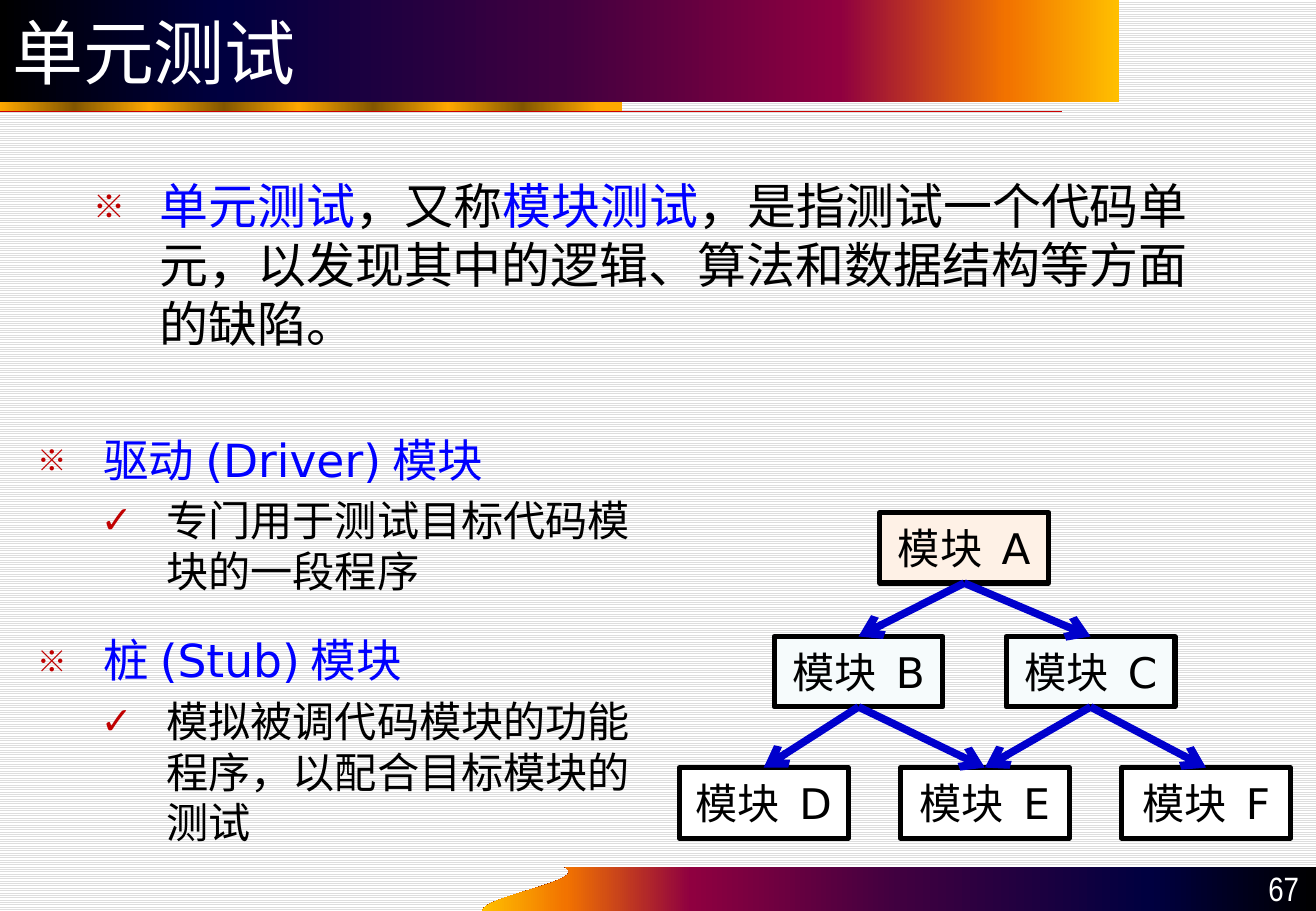
"""Build the unit testing slide with its module call diagram."""
from dataclasses import dataclass

import lxml.etree
import pptx
import pptx.dml.color
import pptx.enum.dml
import pptx.enum.shapes
import pptx.enum.text
import pptx.oxml.ns
import pptx.util

RGBColor = pptx.dml.color.RGBColor
Anchor = pptx.enum.text.MSO_ANCHOR
Align = pptx.enum.text.PP_ALIGN
qn = pptx.oxml.ns.qn

EMU_PER_PX = 9144
SLIDE_WIDTH, SLIDE_HEIGHT = 1083, 750
BOX_WIDTH, BOX_HEIGHT = 139, 58
HANGING = 54
LATIN_FONT, CHINESE_FONT, NUMBER_FONT = "DejaVu Sans", "Noto Sans CJK SC", "Arial Narrow"

BLACK = RGBColor(0x00, 0x00, 0x00)
WHITE = RGBColor(0xFF, 0xFF, 0xFF)
STRIPE_GREY = RGBColor(0xDD, 0xDD, 0xDD)
TERM_BLUE = RGBColor(0x00, 0x00, 0xFF)
ARROW_BLUE = RGBColor(0x00, 0x00, 0xCC)
BULLET_RED = RGBColor(0xC0, 0x00, 0x00)
RULE_RED = RGBColor(0xCC, 0x00, 0x00)
ROOT_CREAM = RGBColor(0xFE, 0xF1, 0xE6)
MIDDLE_MINT = RGBColor(0xF6, 0xFB, 0xFC)
GOLD = RGBColor(0xFF, 0xA8, 0x00)
BROWN = RGBColor(0x82, 0x56, 0x00)

SUNSET = [
    (0, BLACK),
    (20, RGBColor(0x00, 0x00, 0x40)),
    (50, RGBColor(0x40, 0x00, 0x40)),
    (75, RGBColor(0x8F, 0x00, 0x40)),
    (90, RGBColor(0xF2, 0x73, 0x00)),
    (100, RGBColor(0xFF, 0xBF, 0x00)),
]
GOLD_WAVES = [(12 * i, BROWN if i % 2 else GOLD) for i in range(9)]


@dataclass(frozen=True)
class Words:
    text: str
    color: RGBColor = BLACK
    font: str = LATIN_FONT


@dataclass(frozen=True)
class Item:
    words: tuple[Words, ...]
    size: int
    line_height: int
    level: int = 0
    before: int = 0


@dataclass(frozen=True)
class Module:
    letter: str
    left: int
    top: int
    color: RGBColor


DEFINITION = [
    Item((
        Words("单元测试", TERM_BLUE),
        Words("，又称"),
        Words("模块测试", TERM_BLUE),
        Words("，是指测试一个代码单元，以发现其中的逻辑、算法和数据结构等方面的缺陷。"),
    ), 29, 35),
]
HELPERS = [
    Item((Words("驱动(Driver)模块", TERM_BLUE),), 27, 32),
    Item((Words("专门用于测试目标代码模块的一段程序"),), 25, 30, 1, 5),
    Item((Words("桩(Stub)模块", TERM_BLUE),), 27, 32, 0, 22),
    Item((Words("模拟被调代码模块的功能程序，以配合目标模块的测试"),), 25, 30, 1, 5),
]
MODULES = [
    Module("A", 724, 422, ROOT_CREAM),
    Module("B", 637, 524, MIDDLE_MINT),
    Module("C", 828, 524, MIDDLE_MINT),
    *(Module(letter, 559 + 182 * i, 632, WHITE) for i, letter in enumerate("DEF")),
]
CALLS = ["AB", "AC", "CE", "CF", "BD", "BE"]


def px(length: float) -> int:
    """Turn px into EMU."""
    return round(length * EMU_PER_PX)


def place(shape, left: int, top: int, width: int, height: int) -> None:
    """Move and resize a shape."""
    shape.left, shape.top, shape.width, shape.height = map(px, (left, top, width, height))


def fill_gradient(shape, stops: list[tuple[int, RGBColor]], angle: int = 0) -> None:
    """Fill a shape with a linear gradient of any number of stops."""
    shape.fill.gradient()
    shape.fill.gradient_angle = angle
    stop_list = shape.element.spPr.find(".//" + qn("a:gsLst"))
    for old_stop in list(stop_list):
        stop_list.remove(old_stop)
    for position, color in stops:
        stop = lxml.etree.SubElement(stop_list, qn("a:gs"), pos=str(position * 1000))
        lxml.etree.SubElement(stop, qn("a:srgbClr"), val=str(color))


def add_words(para, words: Words, size: int) -> None:
    """Add one formatted run."""
    span = para.add_run()
    span.text = words.text
    span.font.size = pptx.util.Pt(size)
    span.font.color.rgb = words.color
    span.font.name = words.font
    lxml.etree.SubElement(span._r.get_or_add_rPr(), qn("a:ea"), typeface=CHINESE_FONT)


def set_frame(box, anchor: Anchor, margin_x: int = 10, margin_y: int = 5):
    """Set wrapping, anchor and insets, and return the text frame."""
    frame = box.text_frame
    frame.word_wrap = True
    frame.auto_size = pptx.enum.text.MSO_AUTO_SIZE.NONE
    frame.vertical_anchor = anchor
    frame.margin_left = frame.margin_right = px(margin_x)
    frame.margin_top = frame.margin_bottom = px(margin_y)
    return frame


def set_bullet(para, level: int) -> None:
    """Give a paragraph its indent and red bullet."""
    mark, percent, font, indent = [
        ("※", 65, CHINESE_FONT, HANGING), ("✓", 90, LATIN_FONT, 106)][level]
    para.level = level
    properties = para._p.get_or_add_pPr()
    properties.set("marL", str(px(indent)))
    properties.set("indent", str(px(-HANGING)))
    color = lxml.etree.SubElement(properties, qn("a:buClr"))
    lxml.etree.SubElement(color, qn("a:srgbClr"), val=str(BULLET_RED))
    lxml.etree.SubElement(properties, qn("a:buSzPct"), val=str(percent * 1000))
    lxml.etree.SubElement(properties, qn("a:buFont"), typeface=font)
    lxml.etree.SubElement(properties, qn("a:buChar"), char=mark)


def fill_list(box, items: list[Item]) -> None:
    """Write a bulleted list into a body placeholder."""
    frame = set_frame(box, Anchor.TOP)
    for i, item in enumerate(items):
        para = frame.add_paragraph() if i else frame.paragraphs[0]
        set_bullet(para, item.level)
        para.alignment = Align.LEFT
        para.line_spacing = pptx.util.Pt(item.line_height)
        para.space_before = pptx.util.Pt(item.before)
        for words in item.words:
            add_words(para, words, item.size)


def add_line(slide, color: RGBColor, weight: float, start=(0, 0), end=(0, 0)):
    """Add a straight connector without a shadow."""
    line = slide.shapes.add_connector(
        pptx.enum.shapes.MSO_CONNECTOR.STRAIGHT, *map(px, (*start, *end)))
    line.line.color.rgb = color
    line.line.width = pptx.util.Pt(weight)
    lxml.etree.SubElement(line.element.spPr, qn("a:effectLst"))
    return line


def add_rectangle(slide, left: int, top: int, width: int, height: int):
    """Add a plain rectangle."""
    box = slide.shapes.add_shape(
        pptx.enum.shapes.MSO_SHAPE.RECTANGLE, *map(px, (left, top, width, height)))
    box.shadow.inherit = False
    return box


def add_module(slide, module: Module):
    """Add one module box."""
    box = add_rectangle(slide, module.left, module.top, BOX_WIDTH, BOX_HEIGHT)
    box.fill.solid()
    box.fill.fore_color.rgb = module.color
    box.line.color.rgb = BLACK
    box.line.width = pptx.util.Pt(3)
    para = set_frame(box, Anchor.MIDDLE, 0, 0).paragraphs[0]
    para.alignment = Align.CENTER
    add_words(para, Words("模块 ", font=CHINESE_FONT), 25)
    add_words(para, Words(module.letter), 25)
    return box


def add_call(slide, caller, callee) -> None:
    """Join two module boxes with an arrow."""
    arrow = add_line(slide, ARROW_BLUE, 4.5)
    arrow.begin_connect(caller, 2)
    arrow.end_connect(callee, 0)
    lxml.etree.SubElement(arrow.element.spPr.find(qn("a:ln")), qn("a:tailEnd"), type="arrow")


def add_footer(slide) -> None:
    """Add the curved footer band and the page number."""
    curve = [(397, 750), (397, 738), (487, 725), (465, 714)]
    edge = []
    for step in range(17):
        t = step / 16
        weights = ((1 - t) ** 3, 3 * t * (1 - t) ** 2, 3 * t * t * (1 - t), t ** 3)
        edge.append(tuple(px(sum(w * point[axis] for w, point in zip(weights, curve)))
                          for axis in (0, 1)))
    builder = slide.shapes.build_freeform(px(SLIDE_WIDTH), px(714))
    builder.add_line_segments([(px(SLIDE_WIDTH), px(SLIDE_HEIGHT)), *edge])
    band = builder.convert_to_shape()
    band.shadow.inherit = False
    band.line.fill.background()
    fill_gradient(band, SUNSET, 180)
    box = slide.shapes.add_textbox(*map(px, (983, 713, 96, 40)))
    para = set_frame(box, Anchor.BOTTOM).paragraphs[0]
    para.alignment = Align.RIGHT
    add_words(para, Words("67", WHITE, NUMBER_FONT), 20)


def add_header(slide) -> None:
    """Format the title band and add the gold strip and red rule."""
    title = slide.shapes.title
    place(title, 0, 0, 921, 84)
    fill_gradient(title, SUNSET)
    para = set_frame(title, Anchor.MIDDLE).paragraphs[0]
    para.alignment = Align.LEFT
    add_words(para, Words("单元测试", WHITE), 42)
    strip = add_rectangle(slide, 0, 84, 512, 8)
    strip.line.fill.background()
    fill_gradient(strip, GOLD_WAVES)
    add_line(slide, RULE_RED, 0.75, (0, 92), (874, 92))


def main() -> None:
    """Build and save the deck."""
    deck = pptx.Presentation()
    deck.slide_width, deck.slide_height = px(SLIDE_WIDTH), px(SLIDE_HEIGHT)
    page = deck.slides.add_slide(deck.slide_layouts[3])
    backdrop = page.background.fill
    backdrop.patterned()
    backdrop.pattern = pptx.enum.dml.MSO_PATTERN.LIGHT_HORIZONTAL
    backdrop.fore_color.rgb = STRIPE_GREY
    backdrop.back_color.rgb = WHITE
    add_header(page)
    add_footer(page)
    definition, helpers = page.placeholders[1], page.placeholders[2]
    place(definition, 67, 139, 948, 165)
    fill_list(definition, DEFINITION)
    place(helpers, 21, 351, 520, 362)
    fill_list(helpers, HELPERS)
    boxes = {module.letter: add_module(page, module) for module in MODULES}
    for caller, callee in CALLS:
        add_call(page, boxes[caller], boxes[callee])
    deck.save("out.pptx")


if __name__ == "__main__":
    main()
